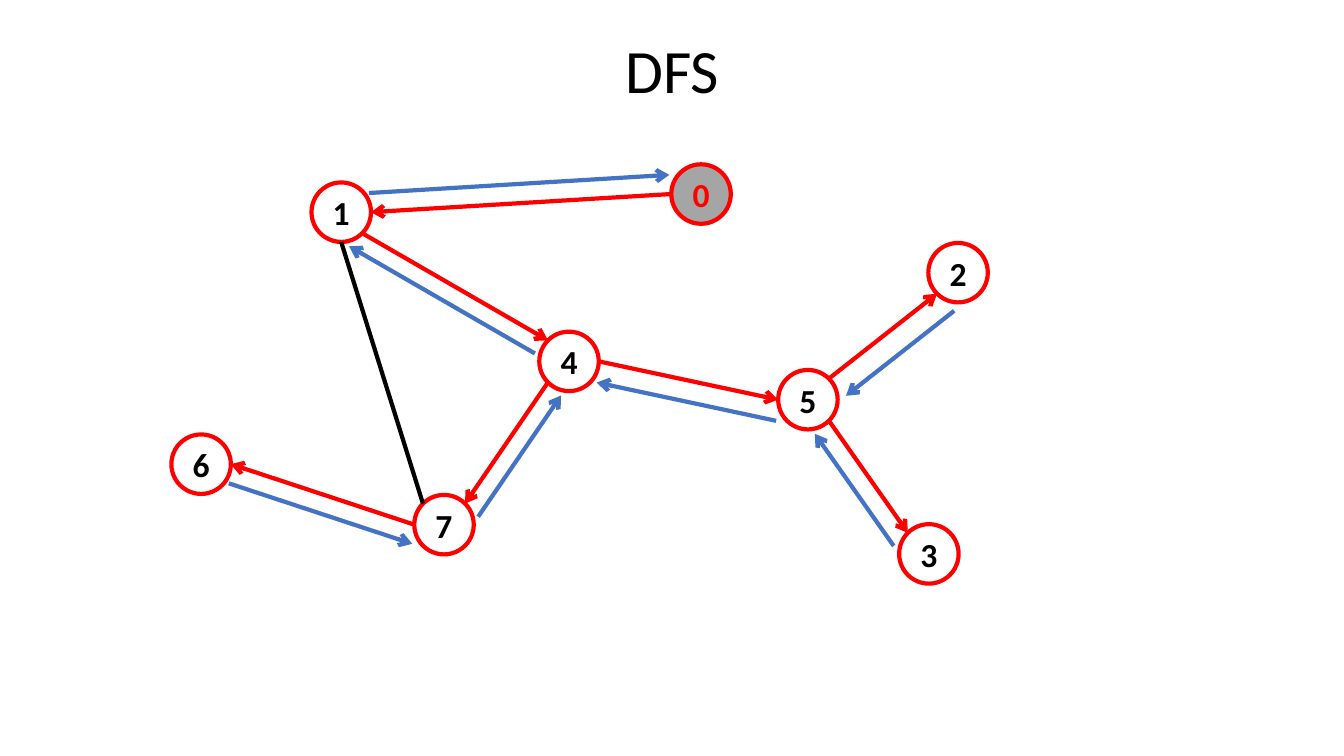
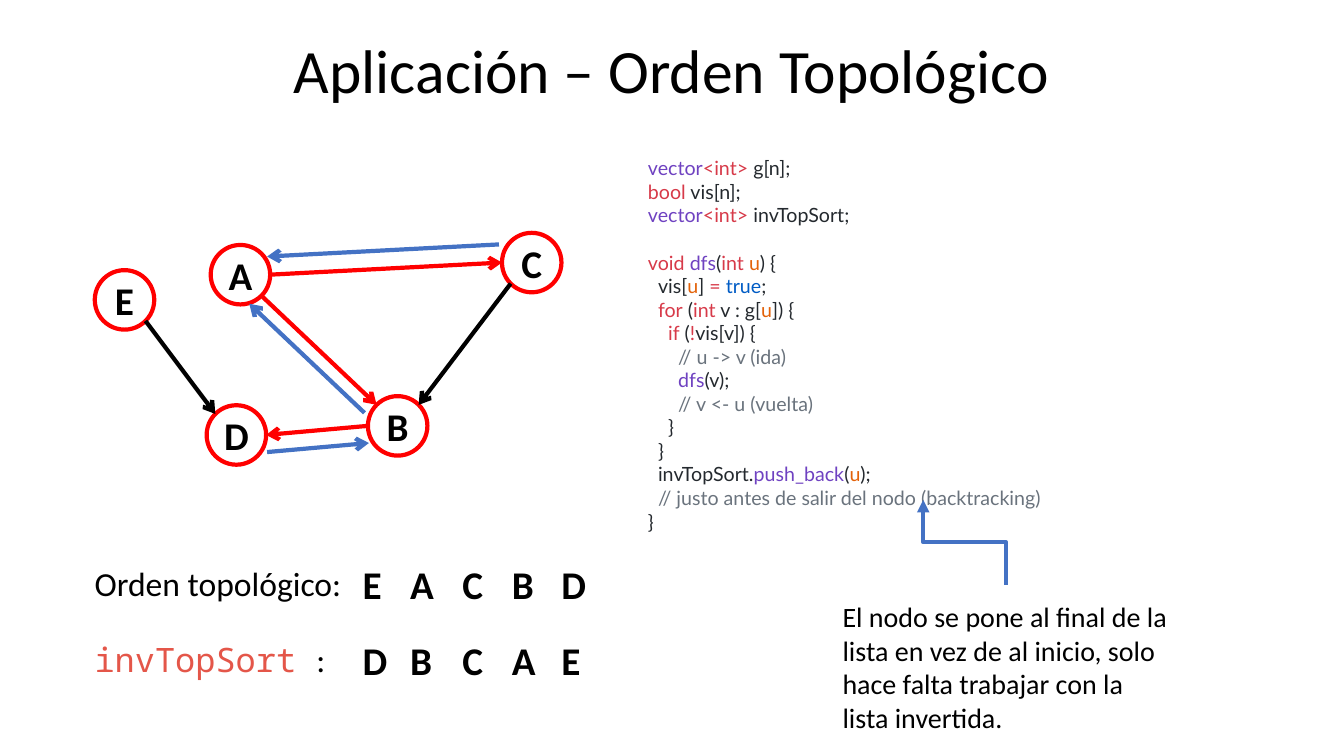
from pptx import Presentation
from pptx.dml.color import RGBColor
from pptx.enum.shapes import MSO_CONNECTOR, MSO_SHAPE
from pptx.enum.text import MSO_ANCHOR, PP_ALIGN
from pptx.oxml.ns import qn
from pptx.util import Emu, Pt
from lxml import etree

LINE, BENT = MSO_CONNECTOR.STRAIGHT, MSO_CONNECTOR.ELBOW
OVAL = MSO_SHAPE.OVAL
MIDDLE, CENTER = MSO_ANCHOR.MIDDLE, PP_ALIGN.CENTER

SCALE = 9144  # EMU in one px, 100 px to the inch
SANS, CODE, MONO = "Calibri", "Lato", "Noto Sans Mono"
NODE = 59
DIAG = 0.5 ** 0.5
SIDES = {
    "N": (0, -1), "S": (0, 1), "E": (1, 0), "W": (-1, 0),
    "NE": (DIAG, -DIAG), "NW": (-DIAG, -DIAG),
    "SE": (DIAG, DIAG), "SW": (-DIAG, DIAG),
}
COLORS = {
    "black": "000000", "red": "FF0000", "blue": "4472C4", "gray": "A5A5A5",
    "type": "6F42C1", "key": "D73A49", "ink": "24292E", "arg": "E36209",
    "bool": "005CC5", "note": "6A737D", "name": "E45649",
}

# Graph of the search: node places, then (from, side, to, side, return shift)
DFS_NODES = {
    "0": (666, 163), "1": (309, 181), "2": (921, 241), "3": (892, 520),
    "4": (535, 329), "5": (772, 367), "6": (170, 431), "7": (411, 491),
}
DFS_TREE = [
    ("0", "W", "1", "E", (-2, -19)),
    ("1", "SE", "4", "NW", (-13, 13)),
    ("4", "E", "5", "W", (-2, 21)),
    ("5", "NE", "2", "SW", (17, 17)),
    ("5", "SE", "3", "NW", (-14, 13)),
    ("4", "SW", "7", "NE", (13, 13)),
    ("7", "W", "6", "E", (-2, 19)),
]

# Graph of the ordering
TOPO_NODES = {
    "A": (209, 243), "B": (365, 393), "C": (498, 231),
    "D": (205, 402), "E": (94, 268),
}
TOPO_TREE = [
    ("A", "E", "C", "W", (-3, -18)),
    ("A", "SE", "B", "NW", (-12, 8)),
    ("B", "W", "D", "E", (1, 17)),
]
TOPO_REST = [("C", "SW", "B", "NE"), ("E", "SE", "D", "NW")]
COLUMNS = (350, 397, 449, 498, 547)
ORDERS = [("EACBD", 551), ("DBCAE", 626)]

# Code lines: depth, then runs of (color, text)
LISTING = [
    (0, [("type", "vector"), ("key", "<int>"), ("ink", " g[n];")]),
    (0, [("key", "bool"), ("ink", " vis[n];")]),
    (0, [("type", "vector"), ("key", "<int> "), ("ink", "invTopSort;")]),
    (0, [("key", "void "), ("type", "dfs"), ("ink", "("), ("key", "int "),
         ("arg", "u"), ("ink", ") {")]),
    (1, [("ink", "vis["), ("arg", "u"), ("ink", "] "), ("key", "= "),
         ("bool", "true"), ("ink", ";")]),
    (1, [("key", "for"), ("ink", " ("), ("key", "int"), ("ink", " v : g["),
         ("arg", "u"), ("ink", "]) {")]),
    (2, [("key", "if"), ("ink", " ("), ("key", "!"), ("ink", "vis[v]) {")]),
    (3, [("note", "// u -> v (ida)")]),
    (3, [("type", "dfs"), ("ink", "(v);")]),
    (3, [("note", "// v <- u (vuelta)")]),
    (2, [("ink", "}")]),
    (1, [("ink", "}")]),
    (1, [("ink", "invTopSort."), ("type", "push_back"), ("ink", "("),
         ("arg", "u"), ("ink", ");")]),
    (1, [("note", "// justo antes de salir del nodo (backtracking)")]),
    (0, [("ink", "}")]),
]
GAP_LINE = 3  # the function starts after a gap


def px(*sizes):
    return [Emu(round(size * SCALE)) for size in sizes]


def rgb(color):
    return RGBColor.from_string(COLORS[color])


def style(font, size, color="black", face=SANS, bold=False):
    font.name, font.size, font.bold = face, Pt(size), bold
    font.color.rgb = rgb(color)


def add_page(deck, text, left, width):
    page = deck.slides.add_slide(deck.slide_layouts[5])
    title = page.shapes.title
    title.left, title.top, title.width, title.height = px(left, 0, width, 145)
    title.text_frame.text = text
    title.text_frame.vertical_anchor = MIDDLE
    para = title.text_frame.paragraphs[0]
    para.alignment, para.line_spacing = CENTER, 0.9
    style(para.font, 44)
    return page


def add_text(page, box, text, size, bold=False, wrap=True):
    frame = page.shapes.add_textbox(*px(*box)).text_frame
    frame.word_wrap = wrap
    para = frame.paragraphs[0]
    para.text = text
    style(para.font, size, bold=bold)
    return para


def add_node(page, spot, label, size, fill=None, color="black"):
    oval = page.shapes.add_shape(OVAL, *px(*spot, NODE, NODE))
    oval.shadow.inherit = False
    if fill:
        oval.fill.solid()
        oval.fill.fore_color.rgb = rgb(fill)
    else:
        oval.fill.background()
    oval.line.color.rgb, oval.line.width = rgb("red"), Pt(3)
    frame = oval.text_frame
    frame.word_wrap, frame.vertical_anchor = False, MIDDLE
    frame.margin_left = frame.margin_right = 0
    frame.margin_top = frame.margin_bottom = 0
    para = frame.paragraphs[0]
    para.text, para.alignment = label, CENTER
    style(para.font, size, color, bold=True)


def add_line(page, start, end, color, head="arrow", kind=LINE):
    link = page.shapes.add_connector(kind, *px(*start, *end))
    link.line.color.rgb, link.line.width = rgb(color), Pt(3)
    if head:
        stroke = link.line._get_or_add_ln()
        etree.SubElement(stroke, qn("a:tailEnd"), type=head)
    etree.SubElement(link._element.spPr, qn("a:effectLst"))
    return link


def rim(spot, side):
    """Point on the edge of a node at a compass side."""
    return [at + NODE / 2 * (1 + way) for at, way in zip(spot, SIDES[side])]


def add_edges(page, nodes, tree):
    """Red way out and blue way back, beside it."""
    for first, out, last, into, shift in tree:
        start, end = rim(nodes[first], out), rim(nodes[last], into)
        add_line(page, start, end, "red")
        back = [[at + by for at, by in zip(point, shift)]
                for point in (end, start)]
        add_line(page, *back, "blue")


def add_code(page, box):
    frame = page.shapes.add_textbox(*px(*box)).text_frame
    frame.word_wrap = True
    for row, (depth, runs) in enumerate(LISTING):
        para = frame.add_paragraph() if row else frame.paragraphs[0]
        para.font.name, para.font.size = CODE, Pt(14)
        para._p.get_or_add_pPr().set("marL", str(depth * 10 * SCALE))
        if row == GAP_LINE:
            para.space_before = Pt(17)
        for color, text in runs:
            run = para.add_run()
            run.text = text
            run.font.color.rgb = rgb(color)


def draw_search(deck):
    page = add_page(deck, "DFS", 354, 626)
    for label, spot in DFS_NODES.items():
        root = ("gray", "red") if label == "0" else ()
        add_node(page, spot, label, 24, *root)
    add_edges(page, DFS_NODES, DFS_TREE)
    add_line(page, rim(DFS_NODES["7"], "NW"), rim(DFS_NODES["1"], "S"),
             "black", head=None)


def draw_order(deck):
    page = add_page(deck, "Aplicación – Orden Topológico", 0, 1333)

    # Graph
    for label, spot in TOPO_NODES.items():
        add_node(page, spot, label, 28)
    add_edges(page, TOPO_NODES, TOPO_TREE)
    for first, out, last, into in TOPO_REST:
        add_line(page, rim(TOPO_NODES[first], out),
                 rim(TOPO_NODES[last], into), "black")

    # Both orders
    add_text(page, (84, 554, 283, 50), "Orden topológico:", 24)
    para = add_text(page, (84, 629, 283, 50), "", 24)
    for text, face, color in (("invTopSort ", MONO, "name"),
                              (":", SANS, "black")):
        run = para.add_run()
        run.text = text
        style(run.font, 24, color, face)
    for word, top in ORDERS:
        for left, label in zip(COLUMNS, word):
            add_text(page, (left, top, 44, 57), label, 28, True, False)

    # Code and its remark
    add_code(page, (633, 150, 688, 387))
    elbow = add_line(page, (915, 579), (999, 497), "blue", "triangle", BENT)
    elbow._element.spPr.find(qn("a:xfrm")).set("rot", str(270 * 60000))
    add_text(page, (826, 590, 345, 145),
             "El nodo se pone al final de la lista en vez de al inicio, "
             "solo hace falta trabajar con la lista invertida.", 20)


def main():
    deck = Presentation()
    deck.slide_width, deck.slide_height = px(1333.33, 750)
    draw_search(deck)
    draw_order(deck)
    deck.save("out.pptx")


if __name__ == "__main__":
    main()
